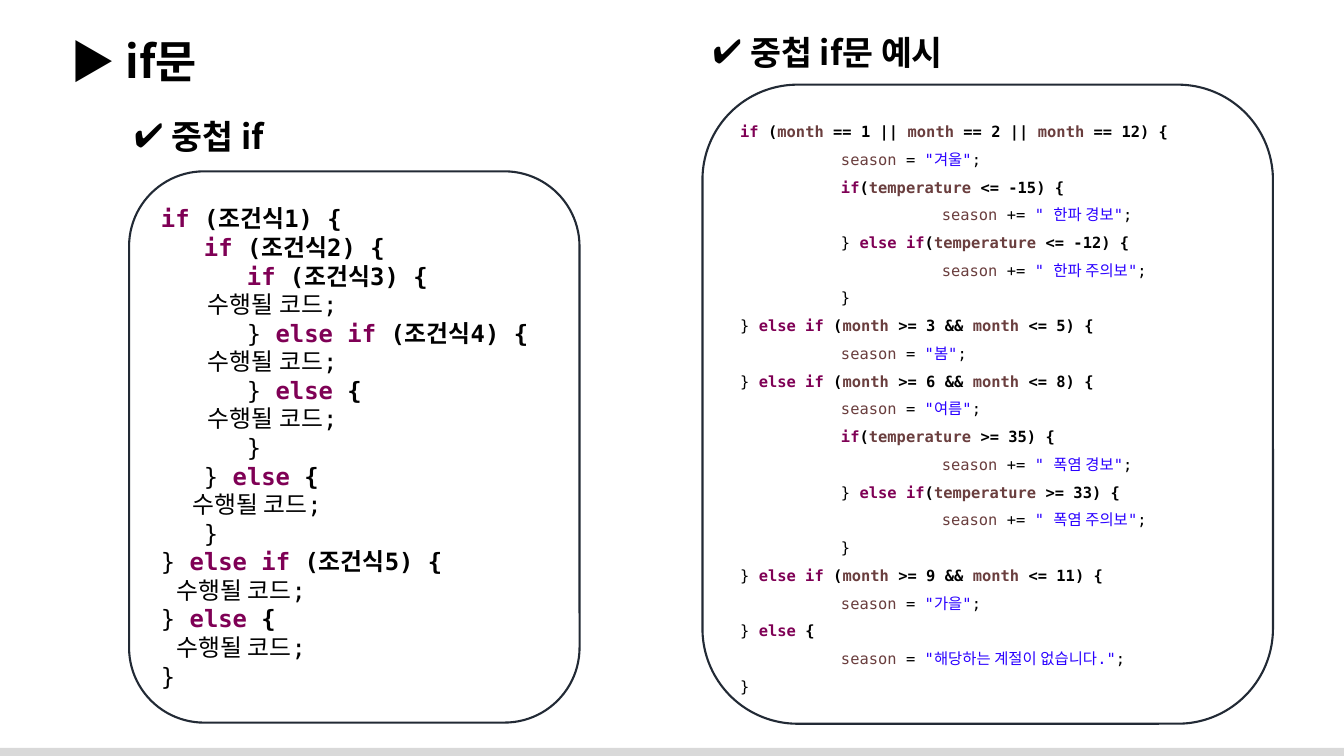
from lxml import etree
from pptx import Presentation
from pptx.dml.color import RGBColor
from pptx.enum.shapes import MSO_SHAPE
from pptx.enum.text import MSO_ANCHOR, MSO_AUTO_SIZE, PP_ALIGN
from pptx.oxml.ns import qn
from pptx.util import Pt

ROUNDED, RECTANGLE = MSO_SHAPE.ROUNDED_RECTANGLE, MSO_SHAPE.RECTANGLE
TOP, MIDDLE = MSO_ANCHOR.TOP, MSO_ANCHOR.MIDDLE
LEFT, NO_AUTOFIT = PP_ALIGN.LEFT, MSO_AUTO_SIZE.NONE

BLACK = RGBColor(0x00, 0x00, 0x00)
KEYWORD = RGBColor(0x7F, 0x00, 0x55)
VARIABLE = RGBColor(0x6A, 0x3E, 0x3E)
STRING = RGBColor(0x2A, 0x00, 0xFF)
OUTLINE = RGBColor(0x22, 0x2A, 0x35)
FOOTER_GRAY = RGBColor(0xD9, 0xD9, 0xD9)
CODE_FONT, KOREAN_FONT = "DejaVu Sans Mono", "Noto Sans CJK KR"
KEYWORDS = ("if", "else if", "else")
VARIABLES = ("month", "temperature", "season")

# Content: code lines are (indent in points, tokens separated by ~)
TITLE = "▶ if문"
BLOCK, BODY = 30.7, 11.2  # indent steps of the syntax code: braces, statements
TAB = 72
STATEMENT = "수행될 코드;"
SYNTAX_CODE = [
    (0, "if~ (조건식1) {"),
    (BLOCK, "if~ (조건식2) {"),
    (2 * BLOCK, "if~ (조건식3) {"),
    (3 * BODY, STATEMENT),
    (2 * BLOCK, "} ~else if~ (조건식4) {"),
    (3 * BODY, STATEMENT),
    (2 * BLOCK, "} ~else~ {"),
    (3 * BODY, STATEMENT),
    (2 * BLOCK, "}"),
    (BLOCK, "} ~else~ {"),
    (2 * BODY, STATEMENT),
    (BLOCK, "}"),
    (0, "} ~else if~ (조건식5) {"),
    (BODY, STATEMENT),
    (0, "} ~else~ {"),
    (BODY, STATEMENT),
    (0, "}"),
]
SEASON_CODE = [
    (0, "if~ (~month~ == 1 || ~month~ == 2 || ~month~ == 12) {"),
    (TAB, 'season~ = ~"겨울"~;'),
    (TAB, "if~(~temperature~ <= -15) {"),
    (2 * TAB, 'season~ += ~" 한파 경보"~;'),
    (TAB, "} ~else if~(~temperature~ <= -12) {"),
    (2 * TAB, 'season~ += ~" 한파 주의보"~;'),
    (TAB, "}"),
    (0, "} ~else if~ (~month~ >= 3 && ~month~ <= 5) {"),
    (TAB, 'season~ = ~"봄"~;'),
    (0, "} ~else if~ (~month~ >= 6 && ~month~ <= 8) {"),
    (TAB, 'season~ = ~"여름"~;'),
    (TAB, "if~(~temperature~ >= 35) {"),
    (2 * TAB, 'season~ += ~" 폭염 경보"~;'),
    (TAB, "} ~else if~(~temperature~ >= 33) {"),
    (2 * TAB, 'season~ += ~" 폭염 주의보"~;'),
    (TAB, "}"),
    (0, "} ~else if~ (~month~ >= 9 && ~month~ <= 11) {"),
    (TAB, 'season~ = ~"가을"~;'),
    (0, "} ~else~ {"),
    (TAB, 'season~ = ~"해당하는 계절이 없습니다."~;'),
    (0, "}"),
]
# Sections: placeholder index, heading, heading box, code, code box, size, spacing
SECTIONS = [
    (1, "중첩 if", (88.6, 79.2, 123, 36), SYNTAX_CODE, (92.2, 122.4, 321.8, 393.8), 17, 1.0),
    (2, "중첩 if문 예시", (501.8, 19.4, 204.5, 36), SEASON_CODE, (501.8, 60.5, 407.5, 456.5), 11, 1.5),
]

deck = Presentation()
deck.slide_width, deck.slide_height = Pt(960), Pt(540)
slide = deck.slides.add_slide(deck.slide_layouts[3])


def place(part, box):
    part.left, part.top, part.width, part.height = map(Pt, box)


def add_run(paragraph, text, size, font, color=BLACK, bold=True):
    run = paragraph.add_run()
    run.text = text
    run.font.size, run.font.name, run.font.bold = Pt(size), font, bold
    run.font.color.rgb = color
    east_asian = etree.SubElement(run._r.get_or_add_rPr(), qn("a:ea"))
    east_asian.set("typeface", KOREAN_FONT)


def indent(paragraph, margin, first_line=0):
    properties = paragraph._p.get_or_add_pPr()
    properties.set("marL", str(int(Pt(margin))))
    properties.set("indent", str(int(Pt(first_line))))
    return properties


def fill_heading(placeholder, text, box, size):
    place(placeholder, box)
    frame = placeholder.text_frame
    frame.auto_size, frame.word_wrap = NO_AUTOFIT, False
    frame.vertical_anchor = TOP
    paragraph = frame.paragraphs[0]
    paragraph.alignment, paragraph.space_before = LEFT, Pt(0)
    add_run(paragraph, text, size, KOREAN_FONT)
    return paragraph


def token_color(token):
    if token in KEYWORDS:
        return KEYWORD
    if token in VARIABLES:
        return VARIABLE
    return STRING if token.startswith('"') else BLACK


def add_code(lines, box, size, spacing):
    panel = slide.shapes.add_shape(ROUNDED, *map(Pt, box))
    panel.shadow.inherit = False
    panel.fill.background()
    panel.line.color.rgb, panel.line.width = OUTLINE, Pt(1.5)
    frame = panel.text_frame
    frame.word_wrap, frame.vertical_anchor = True, MIDDLE
    for number, (margin, line) in enumerate(lines):
        paragraph = frame.add_paragraph() if number else frame.paragraphs[0]
        paragraph.alignment, paragraph.line_spacing = LEFT, spacing
        indent(paragraph, margin)
        tokens = line.split("~")
        is_condition = any(token in KEYWORDS for token in tokens)
        for token in tokens:
            bold = is_condition and not token.startswith("}")
            add_run(paragraph, token, size, CODE_FONT, token_color(token), bold)


# Footer band
footer = slide.shapes.add_shape(RECTANGLE, 0, Pt(534.2), Pt(960), Pt(5.8))
footer.shadow.inherit = False
footer.fill.solid()
footer.fill.fore_color.rgb = FOOTER_GRAY
footer.line.fill.background()

# Title
fill_heading(slide.shapes.title, TITLE, (43.2, 20.2, 907.2, 46), 32)

# Check-marked headings with their code panels
for index, heading, heading_box, code, code_box, size, spacing in SECTIONS:
    paragraph = fill_heading(slide.placeholders[index], heading, heading_box, 24)
    properties = indent(paragraph, 27, -27)
    bullet_color = etree.SubElement(properties, qn("a:buClr"))
    etree.SubElement(bullet_color, qn("a:srgbClr")).set("val", str(BLACK))
    etree.SubElement(properties, qn("a:buChar")).set("char", "✔")
    add_code(code, code_box, size, spacing)

deck.save("out.pptx")
